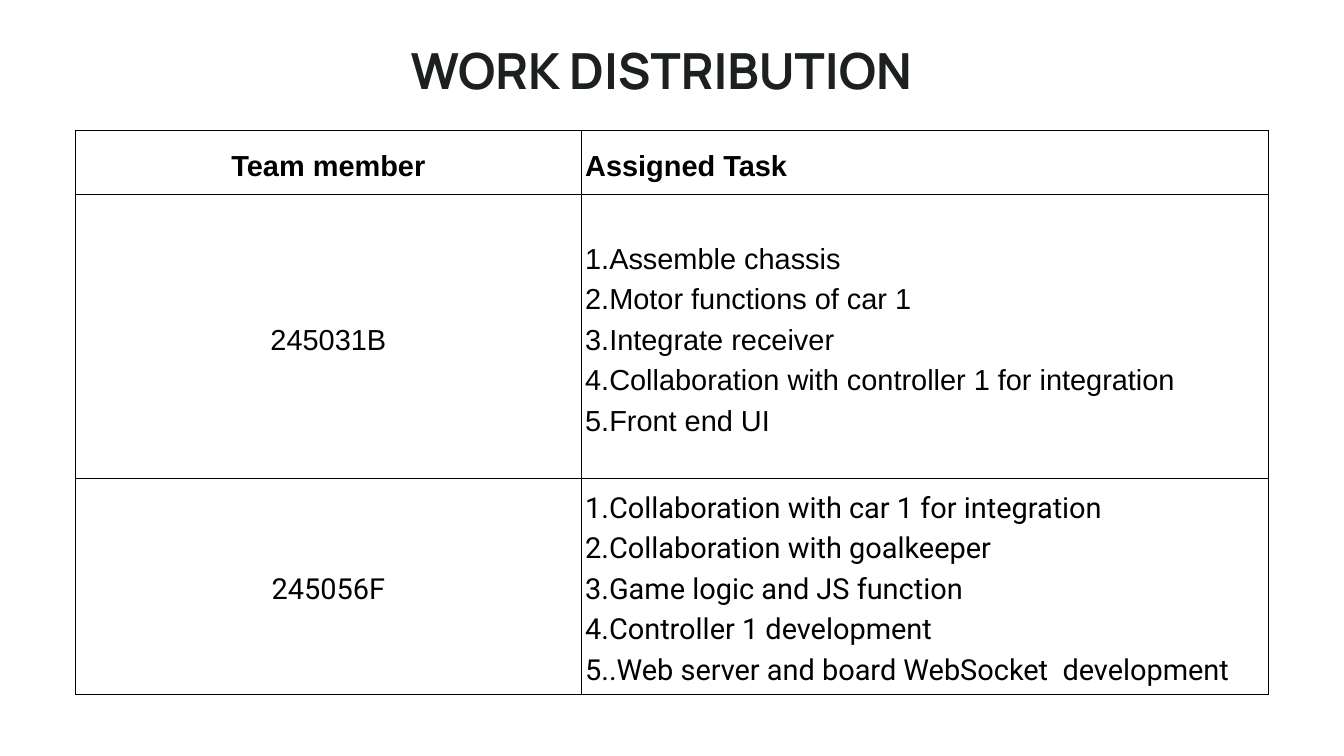
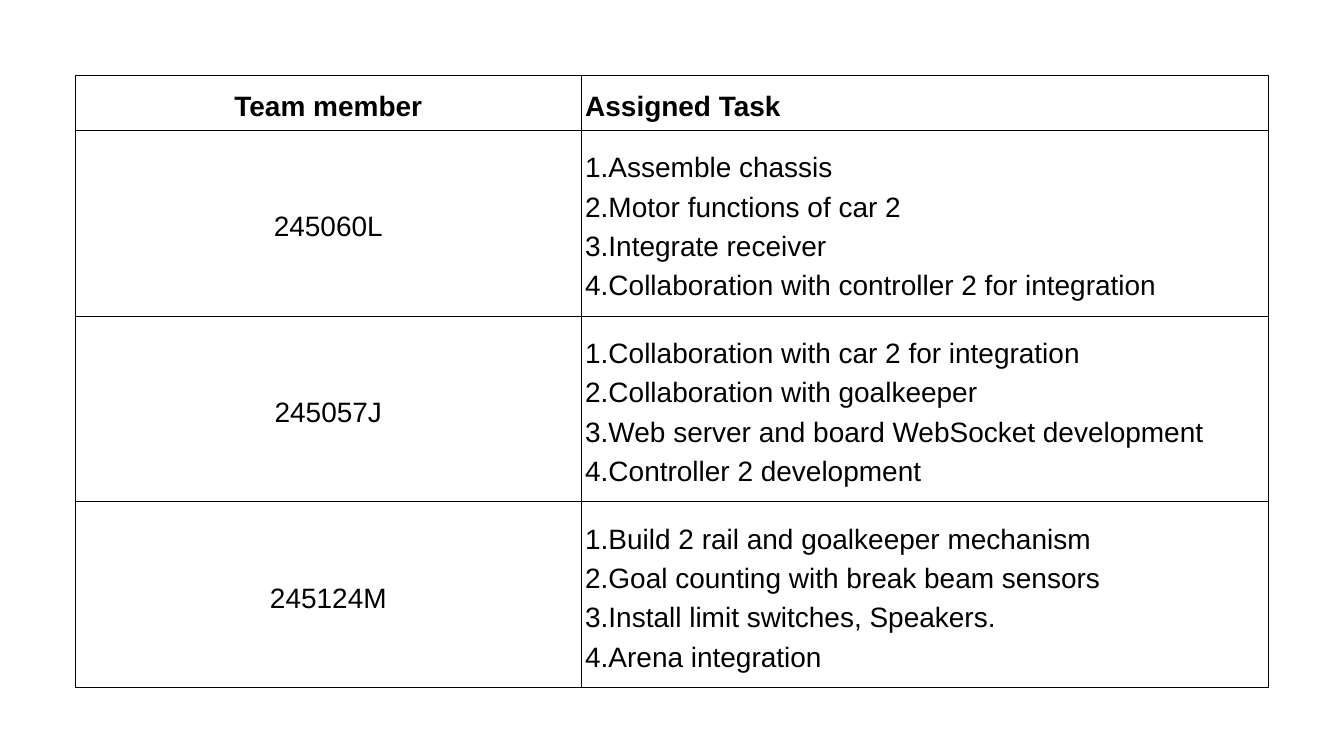
from dataclasses import dataclass
from pptx import Presentation
from pptx.dml.color import RGBColor as Rgb
from pptx.enum.text import MSO_ANCHOR as Anchor, MSO_AUTO_SIZE as Fit, PP_ALIGN as Align
from pptx.oxml import parse_xml
from pptx.oxml.ns import nsdecls
from pptx.util import Pt


@dataclass(frozen=True)
class Theme:
    ink: str = "000000"
    head: str = "1C2120"
    paper: str = "FFFFFF"
    body: str = "Arial"
    alt: str = "Roboto"
    show: str = "Manrope"
    big: float = 53.3
    lead: float = 1.4
    pad: float = 4.5
    rule: float = 0.75


THEME = Theme()
HEADS = ("Team member", "Assigned Task")
LEFT = 81
COLS = (541.5, 736.5)
SIDES = ("lnL", "lnR", "lnT", "lnB")


def put(item, form):
    for key, val in form.items():
        setattr(item, key, val)


class Deck:
    def __init__(self, theme, wide, high):
        self.theme = theme
        self.file = Presentation()
        put(self.file, {"slide_width": Pt(wide), "slide_height": Pt(high)})
        self.slide = None

    def page(self, layout):
        self.slide = self.file.slides.add_slide(self.file.slide_layouts[layout])
        fill = self.slide.background.fill
        fill.solid()
        fill.fore_color.rgb = Rgb.from_string(self.theme.paper)

    def text(self, frame, lines, face, size, lead, tint, bold, align):
        frame.text = "\n".join(lines)
        for para in frame.paragraphs:
            put(para, {"alignment": align, "line_spacing": Pt(lead),
                       "space_before": Pt(0), "space_after": Pt(0)})
            for run in para.runs:
                put(run.font, {"name": face, "size": Pt(size), "bold": bold})
                run.font.color.rgb = Rgb.from_string(tint)

    def title(self, words, left, top, wide, high, lead):
        look = self.theme
        shape = self.slide.shapes.title
        put(shape, {"left": Pt(left), "top": Pt(top),
                    "width": Pt(wide), "height": Pt(high)})
        frame = shape.text_frame
        put(frame, {"margin_left": 0, "margin_right": 0, "margin_top": 0,
                    "margin_bottom": 0, "word_wrap": True,
                    "vertical_anchor": Anchor.TOP,
                    "auto_size": Fit.SHAPE_TO_FIT_TEXT})
        self.text(frame, [words], look.show, look.big, lead,
                  look.head, True, Align.CENTER)

    def edge(self, cell):
        look = self.theme
        props = cell._tc.get_or_add_tcPr()
        for side in SIDES:
            props.append(parse_xml(
                f'<a:{side} {nsdecls("a")} w="{Pt(look.rule)}"><a:solidFill>'
                f'<a:srgbClr val="{look.ink}"/></a:solidFill></a:{side}>'))

    def cell(self, cell, lines, face, size, bold, align):
        look = self.theme
        pad = Pt(look.pad)
        put(cell, {"margin_left": pad, "margin_right": pad, "margin_top": pad,
                   "margin_bottom": pad, "vertical_anchor": Anchor.MIDDLE})
        self.edge(cell)
        cell.fill.background()
        self.text(cell.text_frame, lines, face, size, size * look.lead,
                  look.ink, bold, align)

    def tasks(self, top, rows, size, team):
        frame = self.slide.shapes.add_table(
            len(rows), len(COLS), Pt(LEFT), Pt(top), Pt(sum(COLS)), Pt(sum(rows)))
        table = frame.table
        put(table, {"first_row": False, "horz_banding": False})
        for col, wide in zip(table.columns, COLS):
            col.width = Pt(wide)
        for row, high in zip(table.rows, rows):
            row.height = Pt(high)
        data = [(HEADS[0], self.theme.body, [HEADS[1]]), *team]
        for num, (name, face, jobs) in enumerate(data):
            pair = (([name], Align.CENTER), (jobs, Align.LEFT))
            for col, (lines, align) in enumerate(pair):
                self.cell(table.cell(num, col), lines, face, size, num == 0, align)


FIRST = [
    ("245031B", THEME.body, [
        "1.Assemble chassis",
        "2.Motor functions of car 1",
        "3.Integrate receiver",
        "4.Collaboration with controller 1 for integration",
        "5.Front end UI"]),
    ("245056F", THEME.alt, [
        "1.Collaboration with car 1 for integration",
        "2.Collaboration with goalkeeper",
        "3.Game logic and JS function",
        "4.Controller 1 development",
        "5..Web server and board WebSocket  development"]),
]
SECOND = [
    ("245060L", THEME.body, [
        "1.Assemble chassis",
        "2.Motor functions of car 2",
        "3.Integrate receiver",
        "4.Collaboration with controller 2 for integration"]),
    ("245057J", THEME.body, [
        "1.Collaboration with car 2 for integration",
        "2.Collaboration with goalkeeper",
        "3.Web server and board WebSocket development",
        "4.Controller 2 development"]),
    ("245124M", THEME.body, [
        "1.Build 2 rail and goalkeeper mechanism",
        "2.Goal counting with break beam sensors",
        "3.Install limit switches, Speakers.",
        "4.Arena integration"]),
]


def main():
    deck = Deck(THEME, 1440, 810)
    deck.page(5)
    deck.title("WORK DISTRIBUTION", 400.5, 55, 616, 58, 51.7)
    deck.tasks(139.5, (68.5, 304.5, 231), 31, FIRST)
    deck.page(6)
    deck.tasks(81, (58.5, 199, 199, 199), 30, SECOND)
    deck.file.save("out.pptx")


if __name__ == "__main__":
    main()
